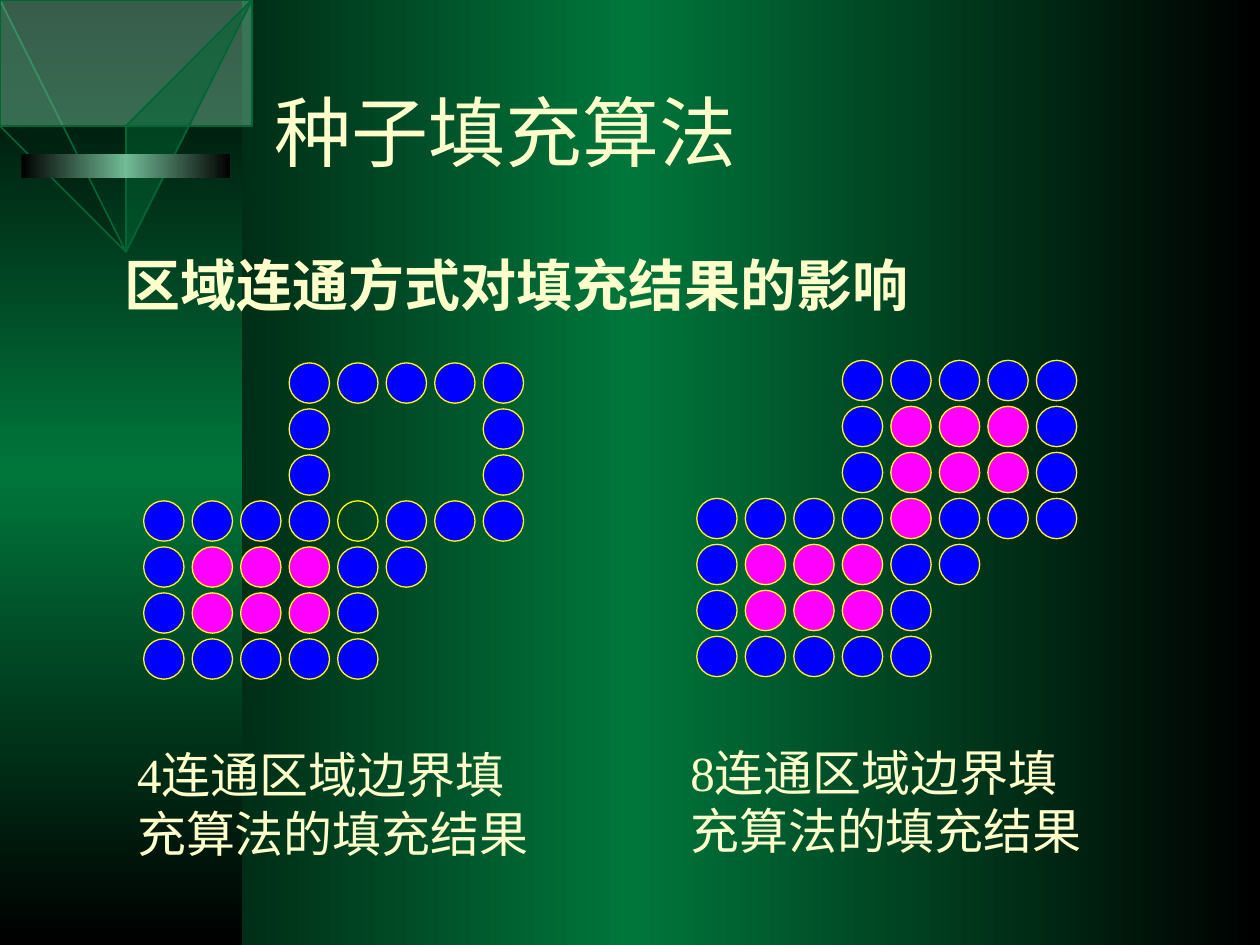
from copy import deepcopy

from lxml.etree import SubElement
from pptx import Presentation
from pptx.dml.color import RGBColor
from pptx.enum.shapes import MSO_SHAPE
from pptx.enum.text import MSO_ANCHOR, PP_ALIGN
from pptx.oxml.ns import qn
from pptx.util import Inches, Pt

BLACK = RGBColor(0x00, 0x00, 0x00)
GREEN = RGBColor(0x00, 0x76, 0x3B)
DARK = RGBColor(0x00, 0x20, 0x10)
EDGE = RGBColor(0x00, 0x66, 0x33)
MINT = RGBColor(0x71, 0xBB, 0x96)
CREAM = RGBColor(0xFF, 0xFF, 0xCC)
BLUE = RGBColor(0x00, 0x00, 0xFF)
PINK = RGBColor(0xFF, 0x00, 0xFF)
YELLOW = RGBColor(0xFF, 0xFF, 0x00)


def grade(fill, root, tones, angle=0):
    """Give a fill evenly spaced gradient stops; root is the XML that holds it."""
    fill.gradient()
    fill.gradient_angle = angle
    stops = root.xpath(".//a:gsLst")[0]
    while len(stops) < len(tones):
        stops.append(deepcopy(stops[0]))
    for i, tone in enumerate(tones):
        stop = fill.gradient_stops[i]
        stop.color.rgb = tone
        stop.position = i / (len(tones) - 1)


def write(box, text, size, bold=False):
    """Fill a box with one styled paragraph and return the paragraph."""
    frame = box.text_frame
    frame.text = text
    frame.word_wrap = True
    para = frame.paragraphs[0]
    font = para.runs[0].font
    font.name, font.size, font.bold = "Times New Roman", Pt(size), bold
    font.color.rgb = CREAM
    return para


deck = Presentation()
deck.slide_width, deck.slide_height = Inches(10), Inches(7.5)
slide = deck.slides.add_slide(deck.slide_layouts[5])
shapes = slide.shapes
grade(slide.background.fill, slide.element, [BLACK, GREEN, BLACK])

# Side panel
panel = shapes.add_shape(MSO_SHAPE.RECTANGLE, 0, 0, Inches(1.92), deck.slide_height)
panel.shadow.inherit = False
panel.line.fill.background()
grade(panel.fill, panel.element, [BLACK, GREEN, BLACK], 270)

# Emblem: two mirrored wings, three faces of a triangle, one bar
left = [(0.17, 1.2), (0.17, 1.41), (0.72, 1.03), (0.72, 1.05), (0.64, 0.86)]
right = [(2 - x, y) for x, y in left]
parts = [
    (right, [BLACK, GREEN]),
    (left, [GREEN, BLACK]),
    ([(0.98, 1.75), (0.98, 1.52), (0.48, 0.54), (0.26, 0.41)], [DARK]),
    ([(0.26, 0.41), (0.48, 0.54), (1.5, 0.54), (1.69, 0.41)], [MINT]),
    ([(0.98, 1.75), (0.98, 1.52), (1.47, 0.54), (1.69, 0.41)], [EDGE]),
]
for points, tones in parts:
    pen = shapes.build_freeform(*points[0], scale=Inches(1))
    pen.add_line_segments(points[1:], close=True)
    part = pen.convert_to_shape()
    part.shadow.inherit = False
    if len(tones) > 1:
        part.line.fill.background()
        grade(part.fill, part.element, tones)
    else:
        part.fill.solid()
        part.fill.fore_color.rgb = tones[0]
        tint = part.element.spPr.find(qn("a:solidFill"))[0]
        SubElement(tint, qn("a:alpha"), val="50000")
        part.line.color.rgb = EDGE
        part.line.width = Pt(1)

bar = shapes.add_shape(
    MSO_SHAPE.RECTANGLE, Inches(0.17), Inches(1.22), Inches(1.66), Inches(0.19))
bar.shadow.inherit = False
bar.line.fill.background()
grade(bar.fill, bar.element, [BLACK, MINT, BLACK])

# Title and heading
title = shapes.title
title.left, title.top = Inches(2.08), Inches(0.25)
title.width, title.height = Inches(7.75), Inches(1.58)
title.text_frame.vertical_anchor = MSO_ANCHOR.MIDDLE
write(title, "种子填充算法", 44).alignment = PP_ALIGN.LEFT

head = shapes.add_textbox(Inches(0.2), Inches(1.94), Inches(7.8), Inches(0.64))
write(head, "区域连通方式对填充结果的影响", 32, True).alignment = PP_ALIGN.CENTER

# Pixel maps: B boundary, P filled, O hollow
four = ["...BBBBB", "...B...B", "...B...B", "BBBBOBBB", "BPPPBB", "BPPPB", "BBBBB"]
eight = ["...BBBBB", "...BPPPB", "...BPPPB", "BBBBPBBB", "BPPPBB", "BPPPB", "BBBBB"]
COL, ROW = 0.385, 0.365
tones = {"B": BLUE, "P": PINK}
views = [
    (four, 1.14, 2.88, "4连通区域边界填充算法的填充结果"),
    (eight, 5.53, 2.86, "8连通区域边界填充算法的填充结果"),
]
for grid, x, y, label in views:
    for r, line in enumerate(grid):
        for c, mark in enumerate(line):
            if mark == ".":
                continue
            dot = shapes.add_shape(
                MSO_SHAPE.OVAL, Inches(x + c * COL), Inches(y + r * ROW),
                Inches(0.32), Inches(0.32))
            dot.shadow.inherit = False
            dot.line.color.rgb = YELLOW
            dot.line.width = Pt(0.75)
            if mark in tones:
                dot.fill.solid()
                dot.fill.fore_color.rgb = tones[mark]
            else:
                dot.fill.background()
    note = shapes.add_textbox(
        Inches(x - 0.15), Inches(y + 2.98), Inches(3.39), Inches(1.04))
    write(note, label, 28).space_before = Pt(17.5)

deck.save("out.pptx")
